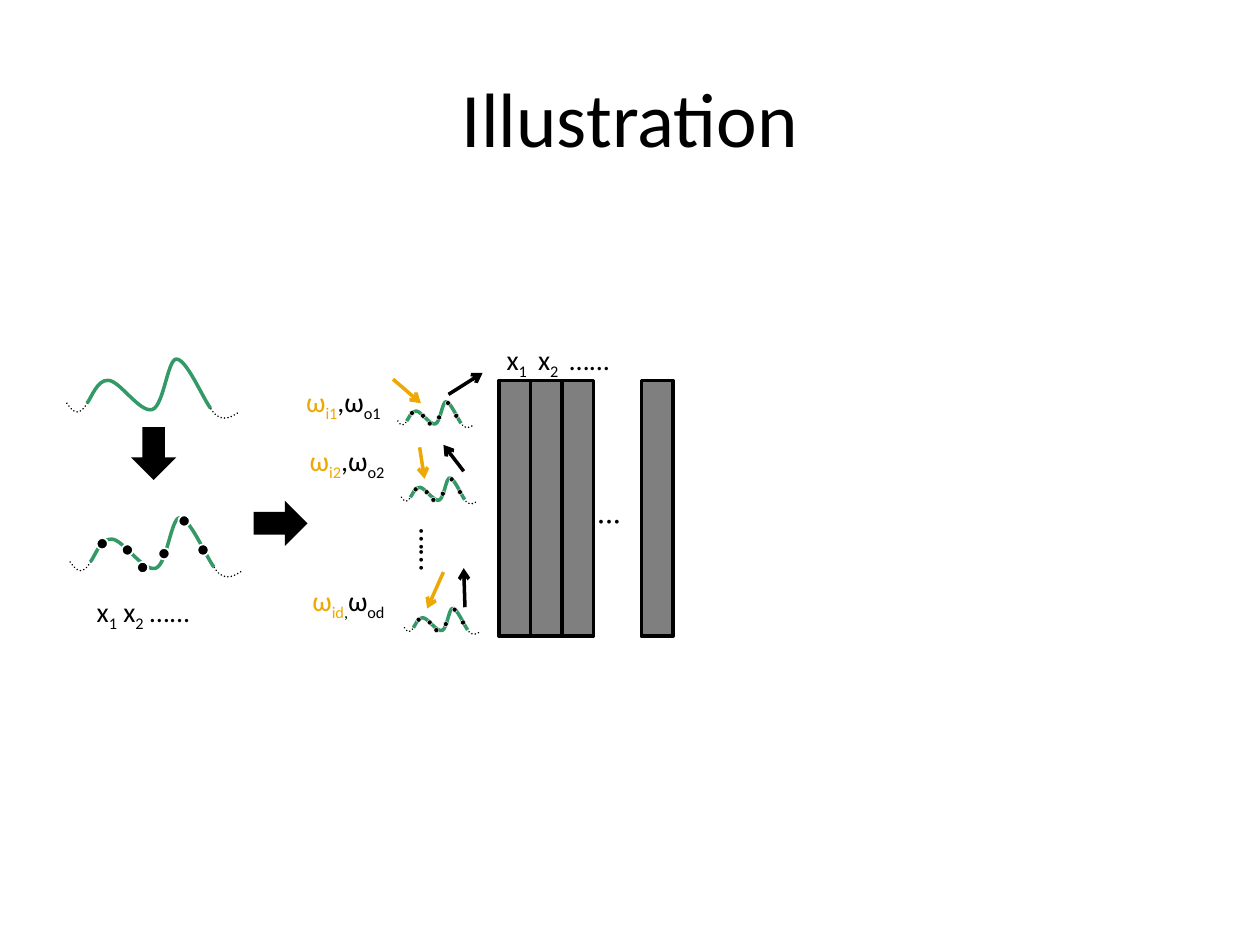
from dataclasses import dataclass
from math import cos, radians, sin

from lxml import etree
from pptx import Presentation
from pptx import util as u
from pptx.dml import color as dml
from pptx.enum import dml as line_styles
from pptx.enum import shapes, text
from pptx.oxml import ns


@dataclass(frozen=True)
class Theme:
    font: str = "Calibri"
    black: str = "000000"
    white: str = "FFFFFF"
    grey: str = "7F7F7F"
    green: str = "339966"
    orange: str = "EEA804"
    title: float = 44
    dots: float = 18
    label: float = 16


THEME = Theme()

# Bezier points of the wave, relative to the start of its green part.
PROFILE = [(-11.5, 0), (-9.4, 2.9), (-7.2, 6.5), (-3.6, 4.3), (0.7, 2.2), (5, -13),
           (11.5, -13), (18, -13), (30.2, 5.8), (36.7, 3.6), (43.9, 1.4),
           (46.1, -25.9), (51.8, -25.2), (58.3, -24.5), (67.7, 1.4), (73.4, 6.5),
           (79.2, 11.5), (85, 5.8), (87.1, 5)]
SURFACE = [(0, 0), (2.2, -2.2), (5.8, -13.7), (12.2, -13), (18.7, -13), (30.2, 5.8),
           (37.4, 3.6), (43.9, 1.4), (46.1, -25.2), (51.1, -25.2), (56.9, -25.2),
           (66.2, -2.9), (70.6, 2.9)]
SAMPLES = [(6.8, -10.4), (21.2, -6.8), (29.9, 3.2), (42.1, -4.7), (53.6, -23.4),
           (64.4, -6.8)]
SAMPLE_SIZE = 6.5
SMALL = 0.44
PROFILE_TURN = 300.5
PROFILE_CENTRE = (39.67, -0.65)


def rgb(value):
    return dml.RGBColor.from_string(value)


def turn(points, centre, degrees):
    c, s = cos(radians(degrees)), sin(radians(degrees))
    return [(centre[0] + c * (x - centre[0]) - s * (y - centre[1]),
             centre[1] + s * (x - centre[0]) + c * (y - centre[1])) for x, y in points]


def make_cubic(shape):
    """Turn each three line segments of a freeform into one cubic curve."""
    path = shape._element.spPr.find(".//" + ns.qn("a:path"))
    lines = path.findall(ns.qn("a:lnTo"))
    for first in range(0, len(lines), 3):
        cubic = etree.SubElement(path, ns.qn("a:cubicBezTo"))
        for line in lines[first:first + 3]:
            cubic.append(line[0])
            path.remove(line)


def add_text(paragraph, content, size=THEME.label, color=THEME.black, subscript=False):
    run = paragraph.add_run()
    run.text = content
    run.font.name = THEME.font
    run.font.size = u.Pt(size)
    run.font.color.rgb = rgb(color)
    if subscript:
        run.font._element.set("baseline", "-25000")


def sub(content, **style):
    return content, dict(style, subscript=True)


class SlideBuilder:
    def __init__(self, slide, theme):
        self.slide = slide
        self.theme = theme

    def text(self, box, *runs, wrap=True, align=None, anchor=None, vertical=False,
             rotation=0, grow=True):
        """Each run is a string or a (string, format) pair."""
        shape = self.slide.shapes.add_textbox(*map(u.Pt, box))
        shape.rotation = rotation
        frame = shape.text_frame
        frame.word_wrap = wrap
        if grow:
            frame.auto_size = text.MSO_AUTO_SIZE.SHAPE_TO_FIT_TEXT
        if anchor is not None:
            frame.vertical_anchor = anchor
        if vertical:
            frame._txBody.bodyPr.set("vert", "eaVert")
            frame.margin_left = frame.margin_right = u.Pt(3.6)
            frame.margin_top = frame.margin_bottom = u.Pt(7.2)
        paragraph = frame.paragraphs[0]
        paragraph.alignment = align
        for run in runs:
            content, style = (run, {}) if isinstance(run, str) else run
            add_text(paragraph, content, **style)

    def shape(self, kind, box, fill, line=None, width=1, rotation=0):
        shape = self.slide.shapes.add_shape(kind, *map(u.Pt, box))
        shape.rotation = rotation
        shape.shadow.inherit = False
        shape.fill.solid()
        shape.fill.fore_color.rgb = rgb(fill)
        if line:
            shape.line.color.rgb = rgb(line)
            shape.line.width = u.Pt(width)
        else:
            shape.line.fill.background()

    def curve(self, points, color, width, rotation=0, dotted=False):
        outline = [(u.Pt(x), u.Pt(y)) for x, y in points]
        builder = self.slide.shapes.build_freeform(*outline[0])
        builder.add_line_segments(outline[1:], close=False)
        shape = builder.convert_to_shape()
        make_cubic(shape)
        shape.rotation = rotation
        shape.shadow.inherit = False
        shape.fill.background()
        shape.line.color.rgb = rgb(color)
        shape.line.width = u.Pt(width)
        if dotted:
            shape.line.dash_style = line_styles.MSO_LINE.ROUND_DOT
            shape.line._get_or_add_ln().set("cap", "rnd")

    def arrow(self, start, end, color):
        connector = self.slide.shapes.add_connector(
            shapes.MSO_CONNECTOR.STRAIGHT, *map(u.Pt, start + end))
        connector.line.color.rgb = rgb(color)
        connector.line.width = u.Pt(2)
        tail = etree.SubElement(connector.line._get_or_add_ln(), ns.qn("a:tailEnd"))
        tail.set("type", "arrow")
        etree.SubElement(connector._element.spPr, ns.qn("a:effectLst"))

    def wave(self, origin, scale=1.0, sampled=True, outline=1.0):
        def place(points):
            return [(origin[0] + scale * x, origin[1] + scale * y) for x, y in points]

        self.curve(place(turn(PROFILE, PROFILE_CENTRE, -PROFILE_TURN)),
                   self.theme.black, 1, PROFILE_TURN, dotted=True)
        self.curve(place(SURFACE), self.theme.green, 2)
        if sampled:
            size = SAMPLE_SIZE * scale
            for x, y in place(SAMPLES):
                self.shape(shapes.MSO_SHAPE.OVAL, (x - size / 2, y - size / 2, size, size),
                           self.theme.black, self.theme.white, outline)


def main():
    presentation = Presentation()
    presentation.slide_width, presentation.slide_height = u.Pt(720), u.Pt(540)
    slide = presentation.slides.add_slide(presentation.slide_layouts[6])
    builder = SlideBuilder(slide, THEME)

    builder.text((36, 21.6, 648, 90), ("Illustration", {"size": THEME.title}),
                 align=text.PP_ALIGN.CENTER, anchor=text.MSO_ANCHOR.MIDDLE, grow=False)

    builder.wave((49.7, 230.4), sampled=False)
    builder.shape(shapes.MSO_SHAPE.RIGHT_ARROW, (72.7, 246.2, 30.2, 25.9), THEME.black,
                  rotation=90)
    builder.shape(shapes.MSO_SHAPE.RIGHT_ARROW, (144.9, 286.1, 30.8, 25.9), THEME.black)
    builder.wave((51.6, 321.1))
    builder.text((48.2, 336.2, 112.3, 51.1), "x", sub("1"), " x", sub("2"), " …...")

    for left in (221, 257, 239, 302.4):
        builder.shape(shapes.MSO_SHAPE.RECTANGLE, (left, 281.5, 146.2, 18),
                      THEME.grey, THEME.black, 2, rotation=90)
    builder.text((225.4, 294.6, 36, 44.6), ("……", {"size": THEME.dots}), vertical=True)
    builder.text((327.6, 285.1, 36, 31.7), ("…", {"size": THEME.dots}),
                 vertical=True, rotation=90)

    # Wave origin, incoming arrow, outgoing arrow, label corner, index, separator
    directions = [
        ((232.4, 240.6), ((224.6, 216.7), (240.5, 230.4)),
         ((256.3, 225.4), (275.8, 213.1)), (167.8, 216), "1", ","),
        ((234.5, 284.2), ((239.8, 255.6), (242.6, 273.6)),
         ((265, 269.3), (253.4, 254.2)), (169.9, 249.8), "2", ","),
        ((236.2, 358.7), ((253.4, 326.9), (244.1, 347.8)),
         ((265.7, 347), (265, 324.7)), (171.4, 329.8), "d", sub(",")),
    ]
    for origin, incoming, outgoing, corner, index, separator in directions:
        builder.wave(origin, SMALL, outline=0.25)
        builder.arrow(*incoming, THEME.orange)
        builder.arrow(*outgoing, THEME.black)
        builder.text(corner + (66.2, 29.5), ("ω", {"color": THEME.orange}),
                     sub("i" + index, color=THEME.orange), separator, "ω",
                     sub("o" + index))

    for column, runs in enumerate((("x", sub("1")), ("x", sub("2")), ("…...",))):
        width = 25.9 if len(runs) > 1 else 37.4
        builder.text((282.4 + 18 * column, 192.2, width, 29.5), *runs, wrap=False)

    presentation.save("out.pptx")


if __name__ == "__main__":
    main()
